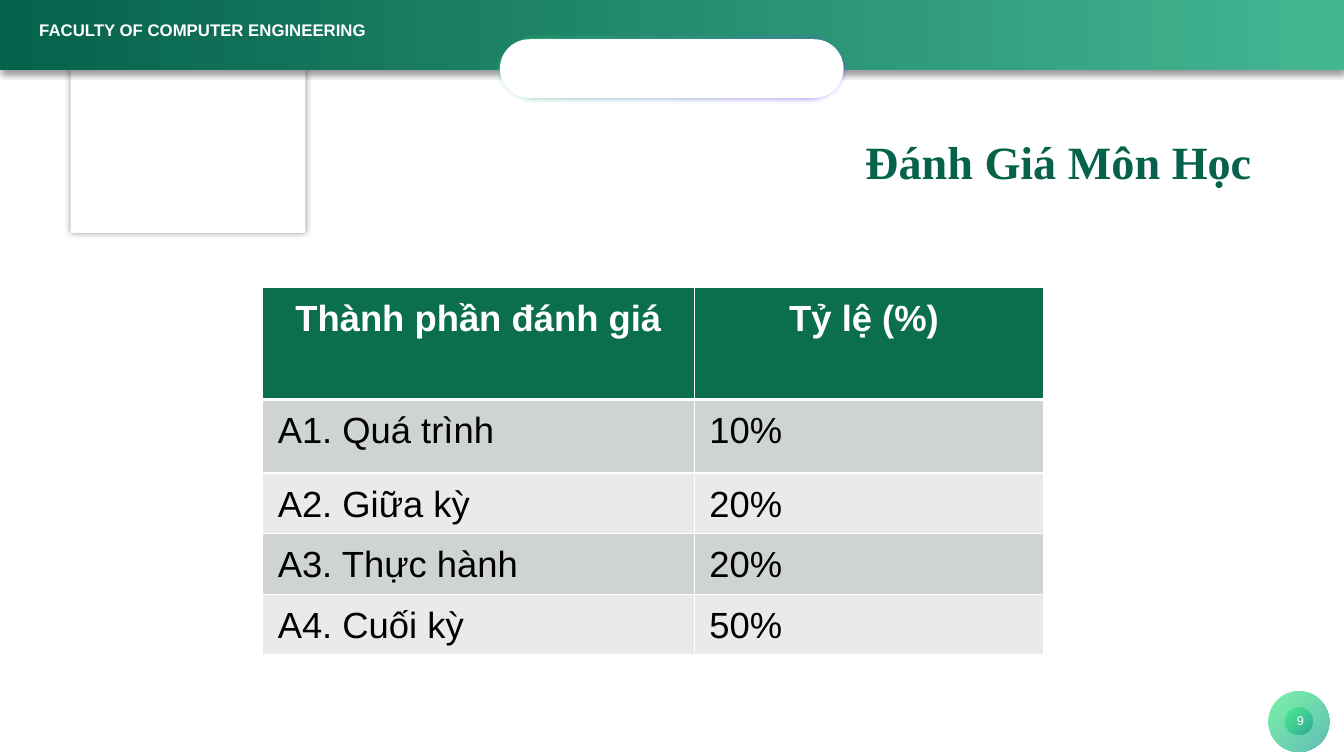
import lxml.etree
import pptx
import pptx.dml.color
import pptx.enum.shapes
import pptx.enum.text
import pptx.oxml
import pptx.oxml.ns
import pptx.util
from pptx.util import Cm, Pt

THEME = {
    "dark": "06624B", "light": "43B692", "header": "0B6E4F",
    "lime": "38EF7D", "violet": "752AFF", "teal": "11998E",
    "white": "FFFFFF", "black": "000000", "bands": ["D0D3D4", "E9EAEB"],
    "sans": "Arial", "serif": "Times New Roman",
    "banner_size": 12, "title_size": 33, "table_size": 26, "number_size": 9,
}
SHAPES = pptx.enum.shapes.MSO_SHAPE
ALIGN = pptx.enum.text.PP_ALIGN
ANCHOR = pptx.enum.text.MSO_ANCHOR
NAMESPACE = pptx.oxml.ns.nsdecls("a")


def rgb(name):
    return pptx.dml.color.RGBColor.from_string(name)


def style(paragraph, size, color, font="sans", bold=False):
    paragraph.font.name = THEME[font]
    paragraph.font.size = Pt(THEME[size])
    paragraph.font.bold = bold
    paragraph.font.color.rgb = rgb(THEME[color])


presentation = pptx.Presentation()
presentation.slide_width = Cm(33.87)
presentation.slide_height = Cm(19.05)
slide = presentation.slides.add_slide(presentation.slide_layouts[6])

SHADOW = (
    '<a:outerShdw blurRad="{blur}" dist="{distance}" dir="5400000" algn="ctr" rotWithShape="0">'
    '<a:srgbClr val="000000"><a:alpha val="40000"/></a:srgbClr></a:outerShdw>'
)
box_shadow = SHADOW.format(blur=Pt(5), distance=0)
banner_shadow = SHADOW.format(blur=Pt(4), distance=Pt(3))
soft_edge = f'<a:softEdge rad="{Pt(5)}"/>'
badge_fill = ("lime", "teal", 45, 65)

decorations = [
    (SHAPES.RECTANGLE, 1.78, 1.75, 5.92, 4.12, None, box_shadow),
    (SHAPES.RECTANGLE, 0, 0, 33.87, 1.77, ("dark", "light", 0, 100), banner_shadow),
    (SHAPES.ROUNDED_RECTANGLE, 12.45, 0.84, 8.97, 1.78, ("lime", "violet", 45, 100), soft_edge),
    (SHAPES.ROUNDED_RECTANGLE, 12.6, 0.99, 8.66, 1.48, None, ""),
    (SHAPES.OVAL, 31.97, 17.42, 1.53, 1.53, badge_fill, ""),
    (SHAPES.OVAL, 32.39, 17.83, 0.69, 0.69, badge_fill, ""),
]
for kind, left, top, width, height, gradient, effect in decorations:
    shape = slide.shapes.add_shape(kind, Cm(left), Cm(top), Cm(width), Cm(height))
    shape.line.fill.background()
    if kind == SHAPES.ROUNDED_RECTANGLE:
        shape.adjustments[0] = 0.5
    if gradient:
        start, end, angle, opacity = gradient
        stops = "".join(
            f'<a:gs pos="{position}"><a:srgbClr val="{THEME[color]}">'
            f'<a:alpha val="{opacity * 1000}"/></a:srgbClr></a:gs>'
            for position, color in ((0, start), (100000, end))
        )
        shape._element.spPr.find(pptx.oxml.ns.qn("a:prstGeom")).addnext(pptx.oxml.parse_xml(
            f'<a:gradFill {NAMESPACE} rotWithShape="1"><a:gsLst>{stops}</a:gsLst>'
            f'<a:lin ang="{angle * 60000}" scaled="0"/></a:gradFill>'
        ))
    else:
        shape.fill.solid()
        shape.fill.fore_color.rgb = rgb(THEME["white"])
    shape.shadow.inherit = False
    if effect:
        effects = shape._element.spPr.find(pptx.oxml.ns.qn("a:effectLst"))
        effects.append(pptx.oxml.parse_xml(
            f"<a:effectLst {NAMESPACE}>{effect}</a:effectLst>"
        )[0])

labels = [
    ("FACULTY OF COMPUTER ENGINEERING", 0.74, 0.38, 8.74, 0.76,
     ALIGN.LEFT, ANCHOR.TOP, "banner_size", "white", "sans", True),
    ("Đánh Giá Môn Học ", 8.92, 2.92, 23.16, 2.46,
     ALIGN.RIGHT, ANCHOR.MIDDLE, "title_size", "dark", "serif", True),
    ("9", 28.96, 17.65, 7.62, 1.02,
     ALIGN.CENTER, ANCHOR.MIDDLE, "number_size", "white", "sans", False),
]
for text, left, top, width, height, alignment, anchor, size, color, font, bold in labels:
    frame = slide.shapes.add_textbox(Cm(left), Cm(top), Cm(width), Cm(height)).text_frame
    frame.word_wrap = size != "banner_size"
    frame.vertical_anchor = anchor
    paragraph = frame.paragraphs[0]
    paragraph.text = text
    paragraph.alignment = alignment
    if size == "title_size":
        paragraph.line_spacing = 0.9
    style(paragraph, size, color, font, bold)

grades = [
    ("Thành phần đánh giá", "Tỷ lệ (%) "),
    ("A1. Quá trình", "10%"),
    ("A2. Giữa kỳ", "20%"),
    ("A3. Thực hành", "20%"),
    ("A4. Cuối kỳ", "50%"),
]
table = slide.shapes.add_table(
    len(grades), 2, Cm(6.62), Cm(7.25), Cm(19.69), Cm(8.89)
).table
for column, width in zip(table.columns, (10.88, 8.81)):
    column.width = Cm(width)
for row, height in zip(table.rows, (2.82, 1.85, 1.4, 1.4, 1.42)):
    row.height = Cm(height)

for row_index, texts in enumerate(grades):
    is_header = row_index == 0
    for column_index, text in enumerate(texts):
        cell = table.cell(row_index, column_index)
        cell.margin_left = cell.margin_right = Cm(0.38)
        cell.margin_top = cell.margin_bottom = Cm(0.13)
        paragraph = cell.text_frame.paragraphs[0]
        paragraph.text = text
        paragraph.alignment = ALIGN.CENTER if is_header else ALIGN.LEFT
        paragraph.line_spacing = 1.15
        paragraph.space_before = Pt(6)
        style(paragraph, "table_size", "white" if is_header else "black", bold=is_header)
        cell.fill.solid()
        cell.fill.fore_color.rgb = rgb(
            THEME["header"] if is_header else THEME["bands"][(row_index - 1) % 2]
        )
        thick_edge = {0: "lnB", 1: "lnT"}.get(row_index)
        for position, edge in enumerate(("lnL", "lnR", "lnT", "lnB")):
            width = Pt(3 if edge == thick_edge else 0.96)
            cell._tc.tcPr.insert(position, pptx.oxml.parse_xml(
                f'<a:{edge} {NAMESPACE} w="{width}"><a:solidFill>'
                f'<a:srgbClr val="{THEME["white"]}"/></a:solidFill></a:{edge}>'
            ))

presentation.save("out.pptx")
